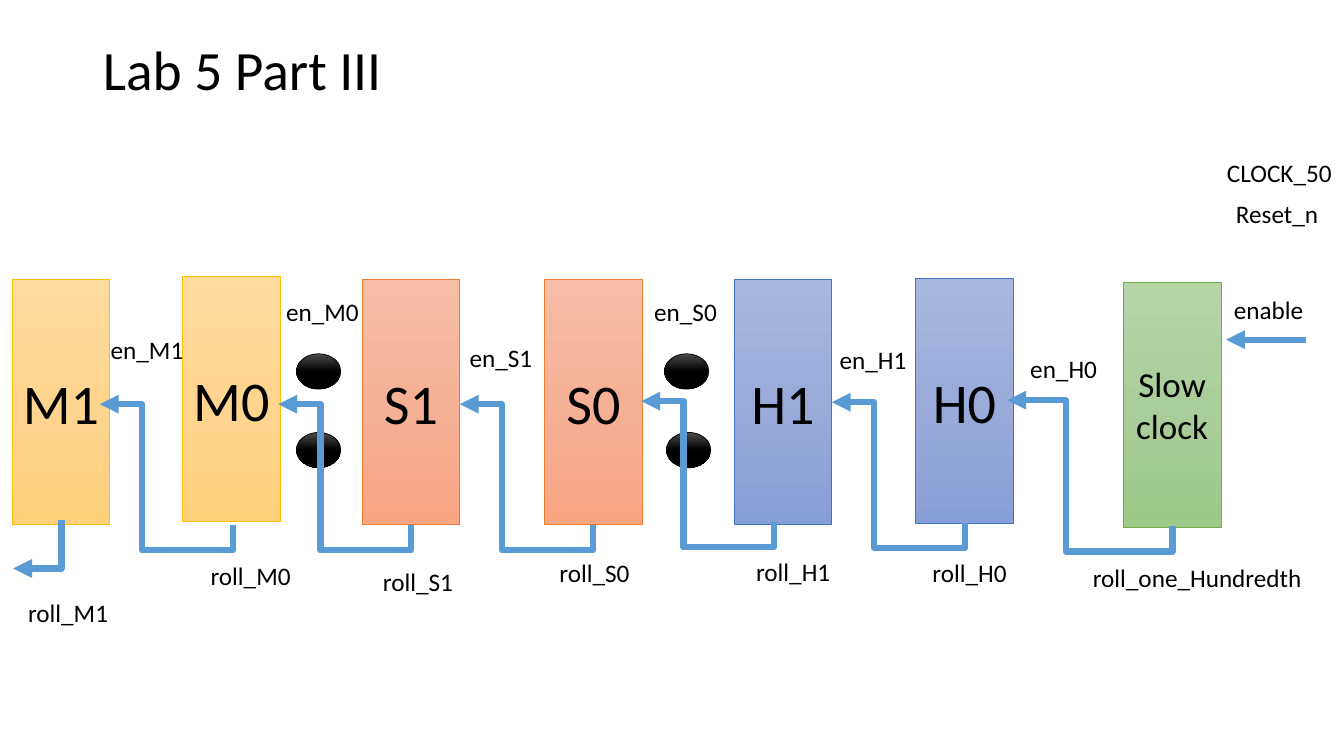
from copy import deepcopy

from lxml.etree import SubElement
from pptx import Presentation
from pptx.dml.color import RGBColor
from pptx.enum.shapes import MSO_CONNECTOR, MSO_SHAPE
from pptx.enum.text import MSO_ANCHOR, MSO_AUTO_SIZE, PP_ALIGN
from pptx.oxml.ns import qn
from pptx.util import Inches, Pt

RECTANGLE, OVAL = MSO_SHAPE.RECTANGLE, MSO_SHAPE.OVAL
STRAIGHT, ELBOW = MSO_CONNECTOR.STRAIGHT, MSO_CONNECTOR.ELBOW
MIDDLE = MSO_ANCHOR.MIDDLE
LEFT, CENTER = PP_ALIGN.LEFT, PP_ALIGN.CENTER
FIT_TEXT = MSO_AUTO_SIZE.SHAPE_TO_FIT_TEXT

FONT = "Calibri"
BLACK = RGBColor(0x00, 0x00, 0x00)
ARROW_BLUE = RGBColor(0x5B, 0x9B, 0xD5)
YELLOW_LINE = RGBColor(0xFF, 0xC0, 0x00)
YELLOW_STOPS = (RGBColor(0xFF, 0xDB, 0x9E), RGBColor(0xFF, 0xD5, 0x90), RGBColor(0xFF, 0xD0, 0x7C))
ORANGE_LINE = RGBColor(0xED, 0x7D, 0x31)
ORANGE_STOPS = (RGBColor(0xF7, 0xBD, 0xA5), RGBColor(0xF5, 0xB1, 0x96), RGBColor(0xF8, 0xA5, 0x82))
BLUE_LINE = RGBColor(0x44, 0x72, 0xC4)
BLUE_STOPS = (RGBColor(0xA8, 0xB7, 0xDF), RGBColor(0x9A, 0xAB, 0xD9), RGBColor(0x88, 0x9E, 0xD7))
GREEN_LINE = RGBColor(0x70, 0xAD, 0x47)
GREEN_STOPS = (RGBColor(0xB5, 0xD5, 0xA7), RGBColor(0xAA, 0xCE, 0x9A), RGBColor(0x9C, 0xC9, 0x87))
DOT_STOPS = (RGBColor(0x4B, 0x4B, 0x4B), BLACK, BLACK)

STAGE_WIDTH, STAGE_HEIGHT = 0.97, 2.43
DOT_WIDTH, DOT_HEIGHT, DOT_PITCH = 0.44, 0.35, 0.78
LABEL_HEIGHT = 0.4
ARROW_DROP = 0.25

STAGES = [
    ("M1", 0.12, 2.77, YELLOW_STOPS, YELLOW_LINE, 40),
    ("M0", 1.81, 2.74, YELLOW_STOPS, YELLOW_LINE, 40),
    ("S1", 3.59, 2.77, ORANGE_STOPS, ORANGE_LINE, 40),
    ("S0", 5.4, 2.77, ORANGE_STOPS, ORANGE_LINE, 40),
    ("H1", 7.28, 2.77, BLUE_STOPS, BLUE_LINE, 40),
    ("H0", 9.08, 2.76, BLUE_STOPS, BLUE_LINE, 40),
    ("Slow clock", 11.14, 2.8, GREEN_STOPS, GREEN_LINE, 25),
]
COLONS = [(2.94, 2.94, 3.51), (6.59, 6.61, 3.51)]
CARRY_ARROWS = [
    (2.31, 5.21, 1.32, 1.2, 0.9),
    (4.08, 5.21, 1.32, 1.2, 0.9),
    (5.88, 5.21, 1.32, 1.2, 0.9),
    (7.68, 5.18, 1.32, 1.2, 0.9),
    (9.57, 5.19, 1.32, 1.2, 0.9),
    (11.63, 5.22, 1.64, 1.25, 1.06),
]
LABELS = [
    ("CLOCK_50", 12.07, 1.51, 1.25),
    ("Reset_n", 12.16, 1.92, 1.03),
    ("enable", 12.14, 2.87, 0.9),
    ("en_M1", 1, 3.27, 0.93),
    ("en_M0", 2.74, 2.89, 0.93),
    ("en_S1", 4.56, 3.35, 0.83),
    ("en_S0", 6.39, 2.89, 0.83),
    ("en_H1", 8.23, 3.37, 0.87),
    ("en_H0", 10.12, 3.46, 0.87),
    ("roll_M1", 0.18, 5.88, 1),
    ("roll_M0", 1.99, 5.51, 1),
    ("roll_S1", 3.7, 5.57, 0.9),
    ("roll_S0", 5.45, 5.48, 0.9),
    ("roll_H1", 7.4, 5.47, 0.95),
    ("roll_H0", 9.15, 5.48, 0.95),
    ("roll_one_Hundredth", 10.74, 5.53, 2.3),
]


def write_text(frame, text, size=18, align=LEFT, wrap=True):
    frame.word_wrap = wrap
    paragraph = frame.paragraphs[0]
    paragraph.alignment = align
    run = paragraph.add_run()
    run.text = text
    run.font.name = FONT
    run.font.size = Pt(size)
    run.font.color.rgb = BLACK
    return paragraph


def add_gradient_shape(slide, kind, box, stops, line_color):
    shape = slide.shapes.add_shape(kind, *map(Inches, box))
    shape.shadow.inherit = False
    shape.fill.gradient()
    shape.fill.gradient_angle = 270
    stop_list = shape._element.spPr.find(qn("a:gradFill")).find(qn("a:gsLst"))
    stop_list.insert(1, deepcopy(stop_list[0]))
    for stop, position, color in zip(shape.fill.gradient_stops, (0, 0.5, 1), stops):
        stop.color.rgb = color
        stop.position = position
    shape.line.color.rgb = line_color
    shape.line.width = Pt(0.5)
    return shape


def add_title(slide, text, box):
    title = slide.shapes.title
    title.left, title.top, title.width, title.height = map(Inches, box)
    title.text_frame.vertical_anchor = MIDDLE
    write_text(title.text_frame, text, size=39.6).line_spacing = 0.9


def add_stage(slide, name, left, top, stops, line_color, size):
    box = (left, top, STAGE_WIDTH, STAGE_HEIGHT)
    shape = add_gradient_shape(slide, RECTANGLE, box, stops, line_color)
    shape.text_frame.vertical_anchor = MIDDLE
    write_text(shape.text_frame, name, size=size, align=CENTER)


def add_colon(slide, upper_left, lower_left, top):
    for index, left in enumerate((upper_left, lower_left)):
        box = (left, top + index * DOT_PITCH, DOT_WIDTH, DOT_HEIGHT)
        add_gradient_shape(slide, OVAL, box, DOT_STOPS, BLACK)


def add_label(slide, text, left, top, width):
    label = slide.shapes.add_textbox(*map(Inches, (left, top, width, LABEL_HEIGHT)))
    write_text(label.text_frame, text, wrap=False)
    label.text_frame.auto_size = FIT_TEXT


def add_arrow(slide, kind, start, end):
    arrow = slide.shapes.add_connector(kind, *map(Inches, start + end))
    arrow.line.color.rgb = ARROW_BLUE
    arrow.line.width = Pt(4.5)
    properties = arrow._element.spPr
    SubElement(properties.find(qn("a:ln")), qn("a:tailEnd"), type="triangle")
    SubElement(properties, qn("a:effectLst"))
    return arrow


def add_turned_arrow(slide, box, preset, flip=False, adjustments=()):
    left, top, width, height = box
    turned_left = left + (width - height) / 2
    turned_top = top + (height - width) / 2
    arrow = add_arrow(slide, ELBOW, (turned_left, turned_top),
                      (turned_left + height, turned_top + width))
    arrow.rotation = 90 if hasattr(arrow, "rotation") else 0
    properties = arrow._element.spPr
    transform = properties.find(qn("a:xfrm"))
    transform.set("rot", "5400000")
    if flip:
        transform.set("flipH", "1")
    geometry = properties.find(qn("a:prstGeom"))
    geometry.set("prst", preset)
    guides = geometry.find(qn("a:avLst"))
    for number, value in enumerate(adjustments, start=1):
        SubElement(guides, qn("a:gd"), name=f"adj{number}", fmla=f"val {round(value * 100000)}")


def add_carry_arrow(slide, start_left, start_top, run, rise, shelf):
    box = (start_left - run, start_top - rise, run, rise)
    add_turned_arrow(slide, box, "bentConnector4", flip=True,
                     adjustments=(-ARROW_DROP / rise, shelf / run))


def add_counter_chain(slide):
    for stage in STAGES:
        add_stage(slide, *stage)
    for colon in COLONS:
        add_colon(slide, *colon)
    for carry_arrow in CARRY_ARROWS:
        add_carry_arrow(slide, *carry_arrow)
    add_turned_arrow(slide, (0.13, 5.16, 0.48, 0.48), "bentConnector2")
    add_arrow(slide, STRAIGHT, (12.95, 3.37), (12.16, 3.37))
    for label in LABELS:
        add_label(slide, *label)


def main():
    presentation = Presentation()
    presentation.slide_width = Inches(13.33)
    presentation.slide_height = Inches(7.5)
    slide = presentation.slides.add_slide(presentation.slide_layouts[5])
    add_title(slide, "Lab 5 Part III", (0.92, 0.4, 11.5, 0.64))
    add_counter_chain(slide)
    presentation.save("out.pptx")


if __name__ == "__main__":
    main()
